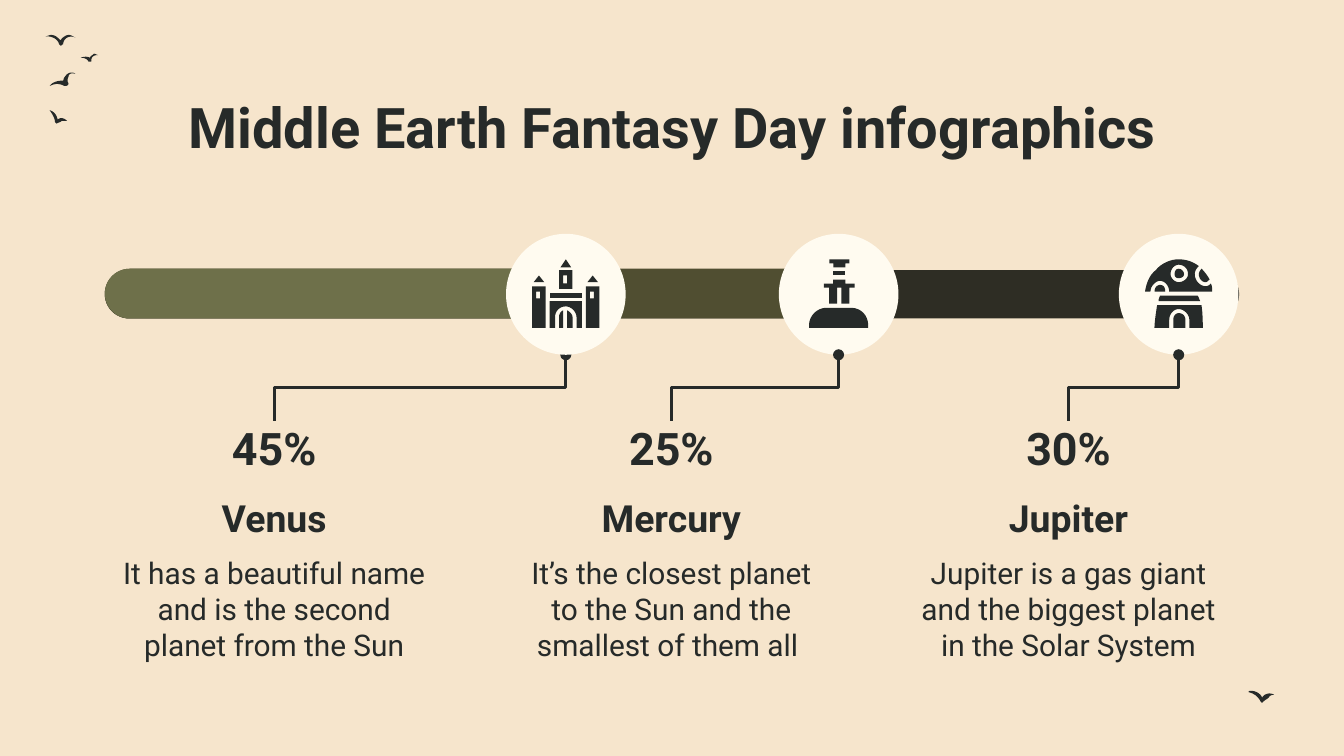
from lxml.etree import SubElement
from pptx import Presentation
from pptx.dml.color import RGBColor
from pptx.enum.shapes import MSO_CONNECTOR, MSO_SHAPE
from pptx.enum.text import MSO_ANCHOR, PP_ALIGN
from pptx.oxml.ns import qn
from pptx.util import Inches, Pt

INK = RGBColor(0x26, 0x2A, 0x29)
SAND = RGBColor(0xF6, 0xE5, 0xCC)
IVORY = RGBColor(0xFF, 0xFB, 0xF0)
MOSS = RGBColor(0x6E, 0x70, 0x4A)
OLIVE = RGBColor(0x50, 0x4E, 0x31)
BARK = RGBColor(0x2E, 0x2D, 0x24)
FONT = "Roboto"
CURVE_STEPS = 8

# Widescreen page, 16 to 9
deck = Presentation()
deck.slide_width, deck.slide_height = Inches(10), Inches(10 * 9 / 16)
page = deck.slides.add_slide(deck.slide_layouts[6])
page.background.fill.solid()
page.background.fill.fore_color.rgb = SAND


def draw_outline(path, shift=0):
    """Contours are split by ';', segments by ','; six numbers make a Bezier curve."""
    builder = None
    for contour in path.split(";"):
        segments = [[float(n) for n in part.split()] for part in contour.split(",")]
        points = [tuple(segments[0])]
        for segment in segments[1:]:
            if len(segment) == 2:
                points.append(tuple(segment))
                continue
            controls = [points[-1], segment[:2], segment[2:4], segment[4:]]
            for step in range(1, CURVE_STEPS + 1):
                t = step / CURVE_STEPS
                weights = ((1 - t) ** 3, 3 * t * (1 - t) ** 2, 3 * t * t * (1 - t), t ** 3)
                points.append(tuple(sum(w * c[axis] for w, c in zip(weights, controls))
                                    for axis in (0, 1)))
        points = [(Inches(x + shift), Inches(y)) for x, y in points]
        if builder is None:
            builder = page.shapes.build_freeform(*points[0])
        else:
            builder.move_to(*points[0])
        builder.add_line_segments(points[1:], close=True)
    outline = builder.convert_to_shape()
    outline.shadow.inherit = False
    outline.fill.solid()
    outline.fill.fore_color.rgb = INK
    outline.line.fill.background()


def draw_leader(label_x, marker_x):
    """Elbow from a label up to its marker, turned so that it leaves vertically."""
    top, bottom = 2.64, 3.13
    center_x, center_y = (label_x + marker_x) / 2, (top + bottom) / 2
    half_width, half_height = (bottom - top) / 2, (marker_x - label_x) / 2
    leader = page.shapes.add_connector(
        MSO_CONNECTOR.ELBOW,
        Inches(center_x - half_width), Inches(center_y - half_height),
        Inches(center_x + half_width), Inches(center_y + half_height))
    leader.line.color.rgb = INK
    leader.line.width = Pt(1.5)
    properties = leader._element.spPr
    properties.find(qn("a:xfrm")).set("rot", str(270 * 60000))
    SubElement(leader.line._get_or_add_ln(), qn("a:tailEnd"), type="oval")
    SubElement(properties, qn("a:effectLst"))


# Birds in the corners
birds = [
    ".51 .26, .5 .26 .47 .27 .45 .3, .43 .28 .41 .26 .38 .26, .37 .26 .35 .27 .34 .27,"
    ".39 .27 .43 .29 .44 .33, .45 .34, .46 .34 .46 .33 .47 .33, .47 .31 .48 .29 .5 .28,"
    ".52 .27 .54 .27 .56 .28, .54 .27 .53 .26 .51 .26",
    ".53 .54, .51 .54 .48 .56 .47 .6, .43 .6 .39 .61 .37 .64, .41 .62 .44 .62 .48 .64,"
    ".49 .64, .5 .64 .51 .63 .51 .62, .5 .61 .5 .59 .51 .57, .51 .55 .53 .54 .56 .55,"
    ".55 .54 .54 .54 .53 .54",
    ".37 .82, .39 .85 .41 .88 .41 .91, .42 .92, .44 .91 .45 .91 .46 .9,"
    ".47 .9 .48 .9 .5 .9, .48 .88 .45 .87 .43 .89, .42 .85 .4 .83 .37 .82",
    ".7 .4, .69 .41 .67 .42 .67 .43, .65 .42 .63 .42 .6 .43, .63 .43 .65 .44 .66 .46,"
    ".67 .46, .68 .46 .68 .46 .68 .45, .68 .43 .69 .41 .73 .41, .72 .41 .71 .4 .7 .4",
    "9.31 5.14, 9.3 5.14 9.29 5.14 9.29 5.15, 9.33 5.16 9.36 5.18 9.38 5.22, 9.39 5.23,"
    "9.4 5.22, 9.41 5.21 9.43 5.2 9.44 5.19, 9.45 5.17 9.47 5.17 9.48 5.17,"
    "9.45 5.15 9.41 5.16 9.39 5.19, 9.38 5.16 9.34 5.14 9.31 5.14",
]
for bird in birds:
    draw_outline(bird)

# Title and the three labelled columns: text, left, top, width, height, size, bold, anchor
column_width = 2.52
column_lefts = [0.78 + 2.955 * i for i in range(3)]
columns = [
    ("45%", "Venus", "It has a beautiful name and is the second planet from the Sun"),
    ("25%", "Mercury", "It’s the closest planet to the Sun and the smallest of them all "),
    ("30%", "Jupiter", "Jupiter is a gas giant and the biggest planet in the Solar System"),
]
texts = [("Middle Earth Fantasy Day infographics", 0.79, 0.59, 8.43, 0.63, 30, True,
          MSO_ANCHOR.TOP)]
for left, (share, planet, description) in zip(column_lefts, columns):
    texts += [
        (planet, left, 3.62, column_width, 0.5, 20, True, MSO_ANCHOR.BOTTOM),
        (description, left, 4.03, column_width, 1, 16, False, MSO_ANCHOR.TOP),
        (share, left, 3.13, column_width, 0.5, 24, True, MSO_ANCHOR.BOTTOM),
    ]
for text, left, top, width, height, size, bold, anchor in texts:
    box = page.shapes.add_textbox(Inches(left), Inches(top), Inches(width), Inches(height))
    frame = box.text_frame
    frame.word_wrap = True
    frame.vertical_anchor = anchor
    frame.margin_left = frame.margin_right = Inches(0.1)
    frame.margin_top = frame.margin_bottom = Inches(0.1)
    para = frame.paragraphs[0]
    para.text = text
    para.alignment = PP_ALIGN.CENTER
    para.font.name, para.font.size, para.font.bold = FONT, Pt(size), bold
    para.font.color.rgb = INK

# Progress bar, longest part at the back; the first leader runs behind its marker
label_centers = [left + column_width / 2 for left in column_lefts]
marker_centers = [4.21, 6.24, 8.77]
marker_width, marker_height = 0.89, 0.9
bars = [(8.44, 2.01, 0.36, BARK), (5.9, 2, 0.37, OLIVE), (3.79, 2, 0.37, MOSS)]
parts = [(MSO_SHAPE.ROUNDED_RECTANGLE, 0.78, top, length, height, color)
         for length, top, height, color in bars]
parts += [(MSO_SHAPE.OVAL, center - marker_width / 2, 1.74, marker_width, marker_height, IVORY)
          for center in marker_centers]
draw_leader(label_centers[0], marker_centers[0])
for kind, left, top, width, height, color in parts:
    part = page.shapes.add_shape(kind, Inches(left), Inches(top), Inches(width), Inches(height))
    if kind == MSO_SHAPE.ROUNDED_RECTANGLE:
        part.adjustments[0] = 0.5
    part.shadow.inherit = False
    part.fill.solid()
    part.fill.fore_color.rgb = color
    part.line.fill.background()

# Castle icon: side towers, keep, wall and gate
for shift in (0, 0.4):
    draw_outline("4.01 2.05, 3.97 2.1, 4.05 2.1", shift)
    draw_outline("4.02 2.17, 4.02 2.22, 3.99 2.22, 3.99 2.17;"
                 "3.96 2.13, 3.96 2.44, 4.06 2.44, 4.06 2.13", shift)
castle = [
    "4.21 1.93, 4.17 1.99, 4.25 1.99",
    "4.22 2.05, 4.22 2.11, 4.19 2.11, 4.19 2.05; 4.16 2.01, 4.16 2.15, 4.26 2.15, 4.26 2.01",
    "4.09 2.18, 4.09 2.22, 4.33 2.22, 4.33 2.18",
    "4.09 2.24, 4.09 2.44, 4.13 2.44, 4.13 2.36, 4.13 2.32 4.16 2.28 4.21 2.28,"
    "4.25 2.28 4.29 2.32 4.29 2.36, 4.29 2.44, 4.33 2.44, 4.33 2.24",
    "4.22 2.31, 4.22 2.44, 4.26 2.44, 4.26 2.36, 4.26 2.34 4.24 2.32 4.22 2.31",
    "4.19 2.31, 4.17 2.32 4.16 2.34 4.16 2.36, 4.16 2.44, 4.19 2.44",
]
# Sword in a stone: stone, guard with blade, pommel, grip
sword = [
    "6.15 2.29, 6.08 2.29 6.02 2.35 6.02 2.42, 6.02 2.44, 6.46 2.44, 6.46 2.42,"
    "6.46 2.35 6.41 2.29 6.33 2.29",
    "6.2 2.08, 6.2 2.11, 6.13 2.11, 6.13 2.14, 6.17 2.14, 6.17 2.26, 6.23 2.26, 6.23 2.14,"
    "6.26 2.14, 6.26 2.26, 6.32 2.26, 6.32 2.14, 6.36 2.14, 6.36 2.11, 6.29 2.11, 6.29 2.08",
    "6.17 1.93, 6.17 1.96, 6.2 1.96, 6.2 1.99, 6.29 1.99, 6.29 1.96, 6.32 1.96, 6.32 1.93",
    "6.2 2.02, 6.2 2.05, 6.29 2.05, 6.29 2.02",
]
# Mushroom house: wall, ledge, door, spots and cap
mushroom = [
    "8.61 2.27, 8.6 2.33 8.59 2.41 8.59 2.44, 8.7 2.44, 8.7 2.38, 8.7 2.34 8.73 2.3 8.77 2.3,"
    "8.81 2.3 8.85 2.34 8.85 2.38, 8.85 2.44, 8.95 2.44, 8.95 2.41 8.95 2.33 8.94 2.27",
    "8.63 2.2, 8.63 2.21 8.62 2.22 8.62 2.24, 8.93 2.24, 8.92 2.22 8.92 2.21 8.91 2.2",
    "8.77 2.33, 8.75 2.33 8.73 2.35 8.73 2.38, 8.73 2.44, 8.82 2.44, 8.82 2.38,"
    "8.82 2.35 8.8 2.33 8.77 2.33",
    "8.63 2.12, 8.61 2.12 8.59 2.14 8.59 2.17, 8.67 2.17, 8.67 2.14 8.66 2.12 8.63 2.12",
    "8.77 2, 8.75 2 8.74 2.02 8.74 2.04, 8.74 2.06 8.75 2.07 8.77 2.07,"
    "8.79 2.07 8.81 2.06 8.81 2.04, 8.81 2.02 8.79 2 8.77 2",
    "8.77 1.97, 8.81 1.97 8.84 2 8.84 2.04, 8.84 2.07 8.81 2.1 8.77 2.1,"
    "8.74 2.1 8.71 2.07 8.71 2.04, 8.71 2 8.74 1.97 8.77 1.97;"
    "8.77 1.93, 8.71 1.93 8.64 1.96 8.6 2.01, 8.55 2.05 8.53 2.11 8.52 2.17, 8.56 2.17,"
    "8.56 2.13 8.6 2.09 8.63 2.09, 8.67 2.09 8.7 2.13 8.7 2.17, 9.02 2.17,"
    "9.02 2.15 9.02 2.13 9.01 2.11, 9 2.12 8.99 2.13 8.97 2.13,"
    "8.93 2.13 8.89 2.09 8.89 2.04, 8.89 2.02 8.9 2 8.92 1.98, 8.88 1.95 8.83 1.93 8.77 1.93",
    "8.94 2, 8.93 2.01 8.92 2.03 8.92 2.04, 8.92 2.07 8.94 2.1 8.97 2.1,"
    "8.98 2.1 8.99 2.09 9 2.08, 8.99 2.06 8.97 2.03 8.94 2",
]
for piece in castle + sword + mushroom:
    draw_outline(piece)

# Remaining leaders end on top of their markers
for label_center, marker_center in list(zip(label_centers, marker_centers))[1:]:
    draw_leader(label_center, marker_center)

deck.save("out.pptx")
